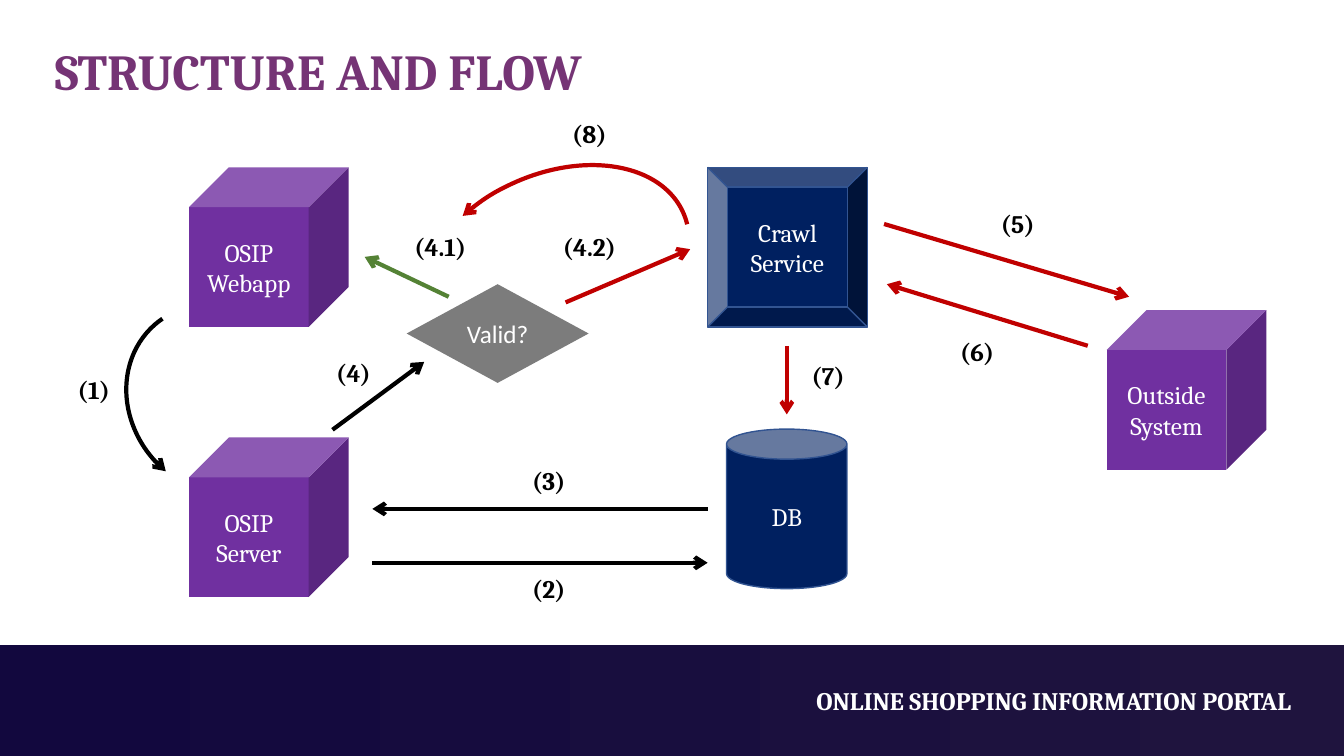
import pptx
import pptx.util
import pptx.dml.color
import pptx.enum.shapes
import pptx.enum.text
import pptx.oxml
import pptx.oxml.ns

Pt = pptx.util.Pt
SHAPE = pptx.enum.shapes.MSO_SHAPE
ALIGN = pptx.enum.text.PP_ALIGN
ANCHOR = pptx.enum.text.MSO_ANCHOR

# Content: lengths in points
COLORS = {
    "title": "753475", "white": "FFFFFF", "black": "000000",
    "purple": "7030A0", "navy": "002060", "navy edge": "325491",
    "gray": "7C7C7C", "green": "548235", "red": "C00000",
    "band left": "12083E", "band right": "1F143E",
}
TITLE = "STRUCTURE AND FLOW"
PORTAL = "ONLINE SHOPPING INFORMATION PORTAL"
SERIF, SANS = "Cambria", "Calibri"
BOX = 114
LABEL_W, LABEL_H = 100, 29

# text, preset, left, top, width, height, fill, edge, font
NODES = [
    ("OSIP Webapp", SHAPE.CUBE, 135, 119.5, BOX, BOX, "purple", None, SERIF),
    ("OSIP Server", SHAPE.CUBE, 135, 312.5, BOX, BOX, "purple", None, SERIF),
    ("Outside System", SHAPE.CUBE, 790.5, 221.5, BOX, BOX, "purple", None, SERIF),
    ("DB", SHAPE.CAN, 519, 306.5, 86, BOX, "navy", "navy edge", SERIF),
    ("Crawl Service", SHAPE.BEVEL, 505.5, 119.5, BOX, BOX, "navy", "navy edge", SERIF),
    ("Valid?", SHAPE.DIAMOND, 290.5, 203, 130, 70.5, "gray", None, SANS),
]

# label, label left, label top, arrow start, arrow end, colour
STRAIGHT_STEPS = [
    ("(2)", 342, 406, (266, 402), (505.5, 402), "black"),
    ("(3)", 342, 328.5, (505.5, 363.5), (266, 363.5), "black"),
    ("(4)", 202.5, 252, (237.5, 307), (303, 258.5), "black"),
    ("(4.1)", 264.5, 161.5, (320.5, 212), (260.5, 183.5), "green"),
    ("(4.2)", 371, 161.5, (404, 216), (493, 178), "red"),
    ("(5)", 677, 145.5, (631.5, 160), (806.5, 212), "red"),
    ("(6)", 648, 237, (777, 247), (633.5, 203), "red"),
    ("(7)", 541.5, 253.5, (562, 247), (562, 296), "red"),
]

# label, label left, label top, arc frame, rotation, arc ends, colour
CURVED_STEPS = [
    ("(1)", 17, 263.5, (93.5, 214.5, 127.5, 142.5), 319.3, (158.79, 7.19), "black"),
    ("(8)", 371, 81, (325.5, 92, 139, 204.5), 65.1, (158.79, 19.95), "red"),
]


def rgb(name):
    return pptx.dml.color.RGBColor.from_string(COLORS[name])


def write(frame, text, color, size=18, bold=False, align=ALIGN.CENTER, font=SERIF):
    frame.word_wrap = True
    paragraph = frame.paragraphs[0]
    paragraph.alignment = align
    run = paragraph.add_run()
    run.text = text
    run.font.name = font
    run.font.size = Pt(size)
    run.font.bold = bold
    run.font.color.rgb = rgb(color)


def add_text(left, top, width, height, text, color, align=ALIGN.CENTER):
    box = slide.shapes.add_textbox(Pt(left), Pt(top), Pt(width), Pt(height))
    write(box.text_frame, text, color, bold=True, align=align)


def style_arrow(arrow, color):
    arrow.line.color.rgb = rgb(color)
    arrow.line.width = Pt(3)
    head = pptx.oxml.parse_xml(
        f'<a:tailEnd {pptx.oxml.ns.nsdecls("a")} type="arrow"/>')
    arrow.line._get_or_add_ln().append(head)


prs = pptx.Presentation()
prs.slide_width, prs.slide_height = Pt(960), Pt(540)
slide = prs.slides.add_slide(prs.slide_layouts[5])

# Footer band
band = slide.shapes.add_shape(SHAPE.RECTANGLE, 0, Pt(460.8), Pt(960), Pt(79.2))
band.shadow.inherit = False
band.line.fill.background()
band.fill.gradient()
band.fill.gradient_angle = 0
for stop, position, color in zip(band.fill.gradient_stops, (0, 0.99),
                                 ("band left", "band right")):
    stop.position = position
    stop.color.rgb = rgb(color)
add_text(331, 486, 598.5, LABEL_H, PORTAL, "white", ALIGN.RIGHT)

# Title
title = slide.shapes.title
title.left, title.top, title.width, title.height = Pt(32), Pt(25), Pt(598.5), Pt(51)
title.text_frame.auto_size = pptx.enum.text.MSO_AUTO_SIZE.NONE
title.text_frame.vertical_anchor = ANCHOR.TOP
write(title.text_frame, TITLE, "title", 36, True, ALIGN.LEFT)

# Systems and decision
for text, preset, left, top, width, height, fill, edge, font in NODES:
    node = slide.shapes.add_shape(preset, Pt(left), Pt(top), Pt(width), Pt(height))
    node.shadow.inherit = False
    node.fill.solid()
    node.fill.fore_color.rgb = rgb(fill)
    if edge:
        node.line.color.rgb = rgb(edge)
        node.line.width = Pt(1)
    else:
        node.line.fill.background()
    node.text_frame.vertical_anchor = ANCHOR.MIDDLE
    write(node.text_frame, text, "white", font=font)

# Straight steps
for label, left, top, start, end, color in STRAIGHT_STEPS:
    arrow = slide.shapes.add_connector(
        pptx.enum.shapes.MSO_CONNECTOR.STRAIGHT, *map(Pt, start + end))
    style_arrow(arrow, color)
    arrow.element.spPr.append(pptx.oxml.parse_xml(
        f'<a:effectLst {pptx.oxml.ns.nsdecls("a")}/>'))
    add_text(left, top, LABEL_W, LABEL_H, label, "black")

# Curved steps
for label, left, top, frame, rotation, ends, color in CURVED_STEPS:
    arc = slide.shapes.add_shape(SHAPE.ARC, *map(Pt, frame))
    arc.shadow.inherit = False
    arc.fill.background()
    arc.adjustments[0], arc.adjustments[1] = ends
    arc.rotation = rotation
    arc.element.spPr.xfrm.set("flipH", "1")
    style_arrow(arc, color)
    add_text(left, top, LABEL_W, LABEL_H, label, "black")

prs.save("out.pptx")
